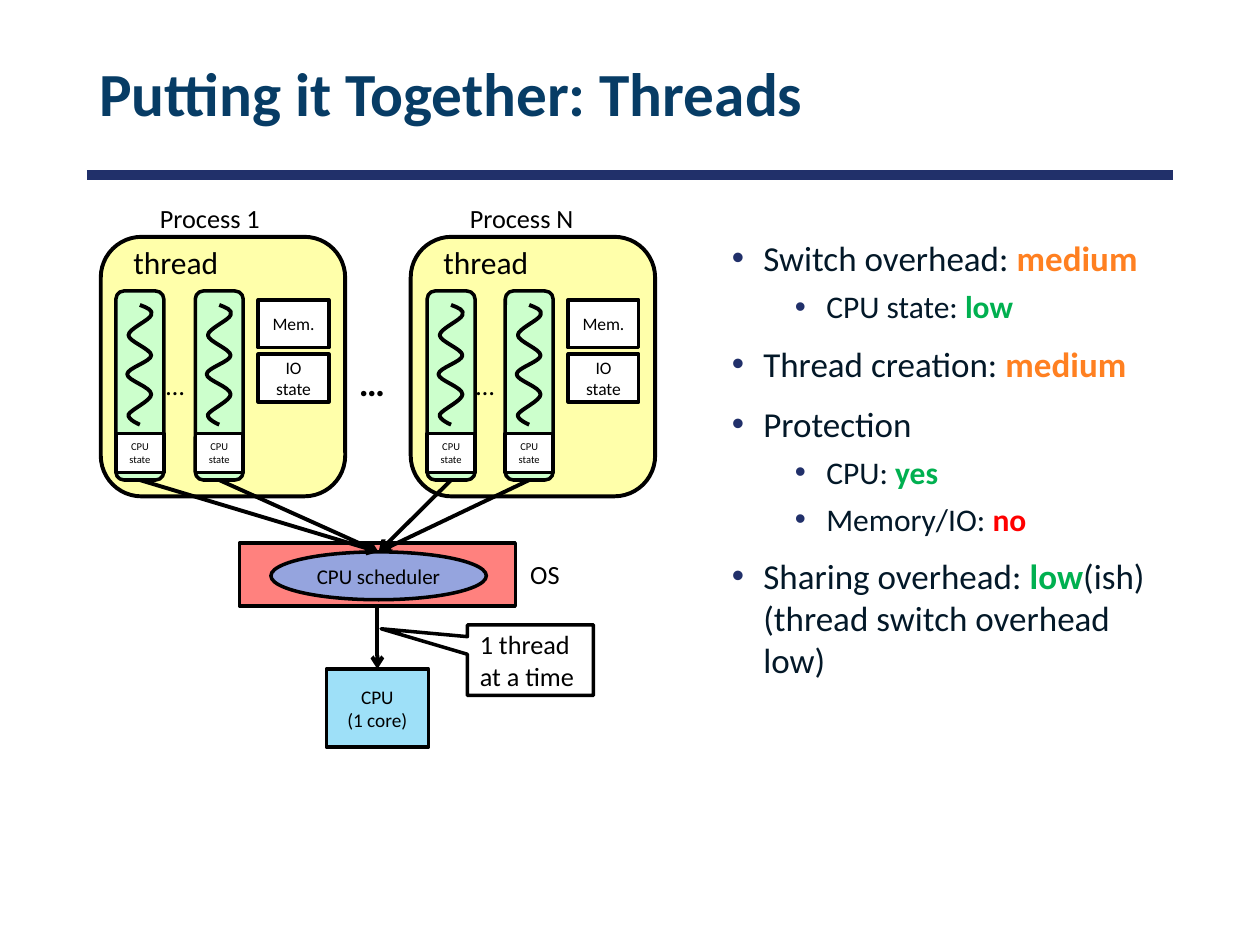
import pptx
import pptx.util
import pptx.dml.color
import pptx.enum.shapes
import pptx.enum.text
from lxml import etree
from pptx.util import Inches, Pt

# Content
TITLE = "Putting it Together: Threads"
ORANGE, GREEN, RED, INK, NAVY = "FF8021", "00B050", "FF0000", "031828", "21306A"
POINTS = [  # level, runs of (text, highlight colour)
    (0, [("Switch overhead: ", None), ("medium", ORANGE)]),
    (1, [("CPU state: ", None), ("low", GREEN)]),
    (0, [("Thread creation: ", None), ("medium", ORANGE)]),
    (0, [("Protection", None)]),
    (1, [("CPU: ", None), ("yes", GREEN)]),
    (1, [("Memory/IO: ", None), ("no", RED)]),
    (0, [("Sharing overhead: ", None), ("low", GREEN),
         ("(ish) (thread switch overhead low)", None)]),
]
LEVELS = [(20, 10, 0.25), (18, 5, 0.75)]  # size, space before, indent
PROCESSES = [  # name, left edge, left edges of its threads
    ("Process 1", 0.8, [0.92, 1.55]),
    ("Process N", 3.26, [3.39, 4.01]),
]
RESOURCES = [(["IO", "state"], 2.81), (["Mem."], 2.38)]

# Thread squiggle inside a column: start, then Bezier segments
SQUIGGLE_START = (0.19, 2.42)
SQUIGGLE = [
    ((0.24, 2.44), (0.3, 2.46), (0.28, 2.5)),
    ((0.27, 2.54), (0.1, 2.61), (0.1, 2.66)),
    ((0.1, 2.71), (0.28, 2.77), (0.28, 2.82)),
    ((0.28, 2.87), (0.09, 2.92), (0.09, 2.97)),
    ((0.09, 3.02), (0.28, 3.07), (0.28, 3.13)),
    ((0.28, 3.18), (0.12, 3.25), (0.1, 3.29)),
    ((0.09, 3.33), (0.19, 3.37), (0.19, 3.37)),
]

SHAPE = pptx.enum.shapes.MSO_SHAPE
ALIGN = pptx.enum.text.PP_ALIGN
MIDDLE = pptx.enum.text.MSO_ANCHOR.MIDDLE
qn = pptx.oxml.ns.qn

prs = pptx.Presentation()
prs.slide_width, prs.slide_height = Inches(10), Inches(7.5)
slide = prs.slides.add_slide(prs.slide_layouts[6])


def color(value):
    return pptx.dml.color.RGBColor.from_string(value)


def style(font, size, hue="000000", bold=False):
    font.name, font.size, font.bold = "Calibri", Pt(size), bold
    font.color.rgb = color(hue)


def write(frame, lines, size, hue="000000", bold=False, align=ALIGN.LEFT):
    for i, line in enumerate(lines):
        paragraph = frame.paragraphs[0] if i == 0 else frame.add_paragraph()
        paragraph.text, paragraph.alignment = line, align
        style(paragraph.font, size, hue, bold)


def outline(shape, weight):
    shape.line.color.rgb, shape.line.width = color("000000"), Pt(weight)
    shape.shadow.inherit = False


def add_block(kind, box, fill, weight=2, lines=(), size=10, align=ALIGN.CENTER):
    block = slide.shapes.add_shape(kind, *map(Inches, box))
    block.fill.solid()
    block.fill.fore_color.rgb = color(fill)
    outline(block, weight)
    frame = block.text_frame
    frame.word_wrap, frame.vertical_anchor = True, MIDDLE
    if align == ALIGN.CENTER:
        frame.margin_left = frame.margin_right = 0
        frame.margin_top = frame.margin_bottom = 0
    write(frame, lines, size, align=align)
    return block


def add_label(text, box, size, bold=False):
    frame = slide.shapes.add_textbox(*map(Inches, box)).text_frame
    frame.word_wrap = False
    write(frame, [text], size, bold=bold)


def add_line(start, end, weight, hue="000000"):
    line = slide.shapes.add_connector(
        pptx.enum.shapes.MSO_CONNECTOR.STRAIGHT, *map(Inches, start + end))
    line.line.color.rgb, line.line.width = color(hue), Pt(weight)
    etree.SubElement(line._element.spPr, qn("a:effectLst"))
    return line


def add_arrow(source, target):
    arrow = add_line((0, 0), (1, 1), 2.25)
    arrow.begin_connect(source, 2)
    arrow.end_connect(target, 0)
    etree.SubElement(arrow.line._get_or_add_ln(), qn("a:tailEnd"), type="arrow")


def add_squiggle(left):
    x, y = SQUIGGLE_START
    builder = slide.shapes.build_freeform(Inches(left + x), Inches(y))
    builder.add_line_segments(
        [(Inches(left + ex), Inches(ey)) for _, _, (ex, ey) in SQUIGGLE], close=False)
    squiggle = builder.convert_to_shape()
    squiggle.fill.background()
    outline(squiggle, 2.25)
    # Turn each straight segment into its curve
    straights = list(squiggle._element.iter(qn("a:lnTo")))
    for straight, segment in zip(straights, SQUIGGLE):
        curve = etree.Element(qn("a:cubicBezTo"))
        for px, py in segment:
            etree.SubElement(curve, qn("a:pt"),
                             x=str(Inches(left + px) - squiggle.left),
                             y=str(Inches(py) - squiggle.top))
        straight.getparent().replace(straight, curve)


def add_bullet(paragraph, indent):
    props = paragraph._p.get_or_add_pPr()
    props.set("marL", str(Inches(indent)))
    props.set("indent", str(Inches(-0.25)))
    hue = etree.SubElement(props, qn("a:buClr"))
    etree.SubElement(hue, qn("a:srgbClr"), val=NAVY)
    etree.SubElement(props, qn("a:buFont"), typeface="Arial")
    etree.SubElement(props, qn("a:buChar"), char="•")


# Title and rule
add_line((0.69, 1.39), (9.31, 1.39), 6, NAVY)
heading = slide.shapes.add_textbox(*map(Inches, (0.69, 0.23, 8.62, 1.08))).text_frame
heading.word_wrap, heading.vertical_anchor = True, MIDDLE
write(heading, [TITLE], 35, "073C65", bold=True)
heading.paragraphs[0].line_spacing = 0.9

# Bullet list
points_frame = slide.shapes.add_textbox(*map(Inches, (5.71, 1.83, 3.6, 5.43))).text_frame
points_frame.word_wrap = True
for i, (level, runs) in enumerate(POINTS):
    size, gap, indent = LEVELS[level]
    point = points_frame.paragraphs[0] if i == 0 else points_frame.add_paragraph()
    point.level = level
    if i:
        point.space_before = Pt(gap)
    add_bullet(point, indent)
    style(point.font, size, INK)
    for text, highlight in runs:
        run = point.add_run()
        run.text = text
        style(run.font, size, highlight or INK, bool(highlight))

# Operating system, scheduler and CPU
system = add_block(SHAPE.RECTANGLE, (1.9, 4.31, 2.19, 0.5), "FF817E")
scheduler = add_block(SHAPE.OVAL, (2.15, 4.38, 1.71, 0.38), "95A4DE",
                      lines=["CPU scheduler"], size=12)
add_label("OS", (4.11, 4.38, 0.47, 0.35), 15)
cpu = add_block(SHAPE.RECTANGLE, (2.59, 5.31, 0.81, 0.62), "9EE0F8",
                lines=["CPU", "(1 core)"], size=11)
add_arrow(system, cpu)
callout = add_block(SHAPE.RECTANGULAR_CALLOUT, (3.71, 4.96, 1, 0.56), "FFFFFF",
                    lines=["1 thread at a time"], size=15, align=ALIGN.LEFT)
callout.adjustments[0], callout.adjustments[1] = -1.185, -0.445

# Processes with their threads
for name, left, thread_lefts in PROCESSES:
    add_label(name, (left + 0.37, 1.56, 1.02, 0.35), 15)
    add_block(SHAPE.ROUNDED_RECTANGLE, (left, 1.88, 1.94, 2.06), "FFFFAA", 2.25)
    for lines, top in RESOURCES:
        add_block(SHAPE.RECTANGLE, (left + 1.25, top, 0.56, 0.38), "FFFFFF", lines=lines)
    add_label("…", (left + 0.42, 2.88, 0.41, 0.35), 15)
    add_label("threads", (left + 0.16, 1.88, 0.93, 0.4), 18)
    for x in thread_lefts:
        thread = add_block(SHAPE.ROUNDED_RECTANGLE, (x, 2.31, 0.38, 1.5), "CCFFCC")
        add_squiggle(x)
        add_block(SHAPE.RECTANGLE, (x, 3.44, 0.38, 0.31), "FFFFFF",
                  lines=["CPU", "state"], size=6)
        add_arrow(thread, scheduler)
add_label("…", (2.75, 2.81, 0.5, 0.45), 21, bold=True)

prs.save("out.pptx")
